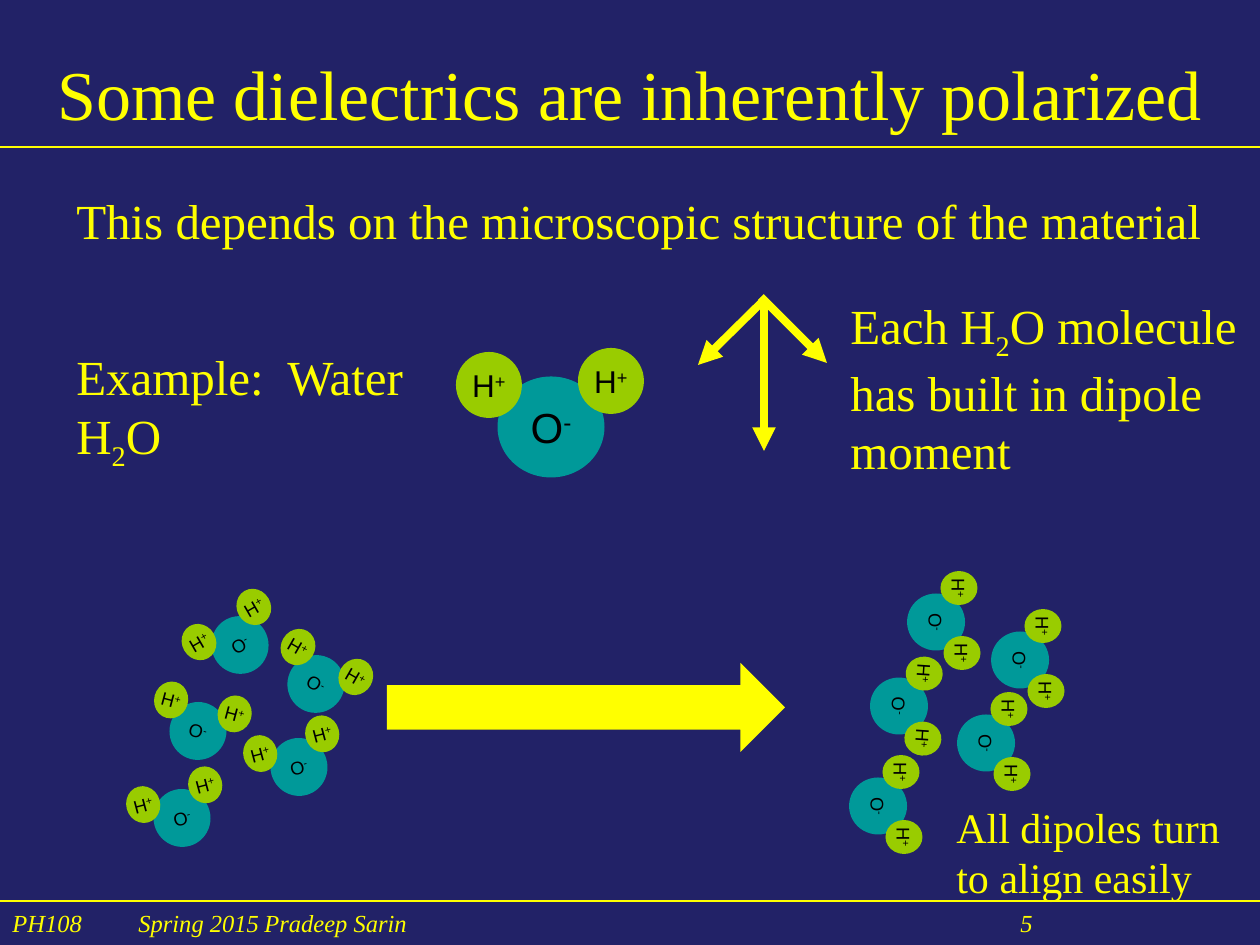
from math import cos, radians, sin

from lxml.etree import SubElement
from pptx import Presentation
from pptx.dml.color import RGBColor
from pptx.enum.shapes import MSO_CONNECTOR, MSO_SHAPE
from pptx.enum.text import MSO_ANCHOR, MSO_AUTO_SIZE, PP_ALIGN
from pptx.oxml.ns import qn
from pptx.util import Pt

NAVY = RGBColor(0x22, 0x22, 0x67)
YELLOW = RGBColor(0xFF, 0xFF, 0x00)
TEAL = RGBColor(0x00, 0x99, 0x99)
LIME = RGBColor(0x99, 0xCC, 0x00)
BLACK = RGBColor(0, 0, 0)
SERIF, SANS = "Times New Roman", "Arial"
SUB, SUPER = -25, 30

# Content: a paragraph is a list of runs, a run is (text, baseline shift)
TITLE = [[("Some dielectrics are inherently polarized", 0)]]
FOOTER = [[("PH108\tSpring 2015\tPradeep Sarin\t5", 0)]]
TABS = (126, 252, 1008)
NOTES = [  # left, top, width, height, size, paragraphs
    (64, 184, 1162, 72, 28,
     [[("This depends on the microscopic structure of the material", 0)]]),
    (64, 340, 381, 131, 28,
     [[("Example:  Water", 0)], [("H", 0), ("2", SUB), ("O", 0)]]),
    (838, 289, 418, 190, 28,
     [[("Each H", 0), ("2", SUB), ("O molecule", 0)],
      [("has built in dipole\nmoment", 0)]]),
    (944, 795, 291, 115, 24, [[("All dipoles turn\nto align easily", 0)]]),
]
RULES = [(0, 147, 1260, 147), (0, 901, 1260, 901)]
DIPOLES = [(761, 297, 827, 363), (764, 300, 698, 365), (764, 300, 764, 451)]

# Upright molecule: atom sizes, text sizes, hydrogen offsets from the oxygen
LARGE = dict(o=(107, 101), h=(66, 66), pts=(24, 18),
             bonds=[(60, -46), (-62, -42)])
SMALL = dict(o=(57, 58), h=(34, 37), pts=(10.5, 10.5),
             bonds=[(31, -26), (-34, -23)])
MIXED = [(240, 645, -30), (316, 684, 30), (198, 731, 15),
         (299, 767, -15), (182, 818, -15)]
ALIGNED = [(936, 622, 90), (1020, 660, 90), (899, 706, 93.8),
           (986, 743, 90), (878, 806, 90)]

SCALE = 914400 / 126


def px(*nums):
    return [round(n * SCALE) for n in nums]


def write(frame, paras, size, font, color, align=PP_ALIGN.LEFT):
    for i, runs in enumerate(paras):
        para = frame.paragraphs[0] if i == 0 else frame.add_paragraph()
        para.alignment = align
        for text, shift in runs:
            for j, line in enumerate(text.split("\n")):
                if j:
                    para.add_line_break()
                run = para.add_run()
                run.text = line
                run.font.size = Pt(size)
                run.font.name = font
                run.font.color.rgb = color
                if shift:
                    run.font._element.set("baseline", str(shift * 1000))


def add_text(box, size, paras, wrap=False, align=PP_ALIGN.LEFT):
    frame = slide.shapes.add_textbox(*px(*box)).text_frame
    frame.word_wrap = wrap
    write(frame, paras, size, SERIF, YELLOW, align)
    return frame


def add_line(ends, width, arrow=False):
    line = slide.shapes.add_connector(MSO_CONNECTOR.STRAIGHT, *px(*ends))
    line.line.color.rgb = YELLOW
    line.line.width = Pt(width)
    if arrow:
        SubElement(line.line._get_or_add_ln(), qn("a:tailEnd"), type="triangle")
    SubElement(line._element.spPr, qn("a:effectLst"))


def add_solid(shapes, kind, box, fill):
    shape = shapes.add_shape(kind, *px(*box))
    shape.shadow.inherit = False
    shape.fill.solid()
    shape.fill.fore_color.rgb = fill
    shape.line.fill.background()
    return shape


def add_atom(shapes, x, y, dims, turn, fill, runs, size):
    w, h = dims
    atom = add_solid(shapes, MSO_SHAPE.OVAL, (x - w / 2, y - h / 2, w, h), fill)
    atom.rotation = turn
    frame = atom.text_frame
    frame.word_wrap = False
    frame.vertical_anchor = MSO_ANCHOR.MIDDLE
    write(frame, [runs], size, SANS, BLACK, PP_ALIGN.CENTER)


def add_water(x, y, turn, kind):
    shapes = slide.shapes.add_group_shape().shapes
    big, little = kind["pts"]
    c, s = cos(radians(turn)), sin(radians(turn))
    add_atom(shapes, x, y, kind["o"], turn, TEAL,
             [("O", 0), ("-", SUPER)], big)
    for dx, dy in kind["bonds"]:
        add_atom(shapes, x + dx * c - dy * s, y + dx * s + dy * c, kind["h"],
                 turn, LIME, [("H", 0), ("+", SUPER)], little)


deck = Presentation()
deck.slide_width, deck.slide_height = px(1260, 945)
slide = deck.slides.add_slide(deck.slide_layouts[6])
slide.background.fill.solid()
slide.background.fill.fore_color.rgb = NAVY

# Footer with tab stops
foot = add_text((0, 902, 1260, 42), 14, FOOTER, wrap=True).paragraphs[0]
stops = SubElement(foot._p.get_or_add_pPr(), qn("a:tabLst"))
for stop in px(*TABS):
    SubElement(stops, qn("a:tab"), pos=str(stop), algn="l")
foot.runs[0].font.italic = True

# Title and rules
head = add_text((0, 38, 1260, 110), 40, TITLE, True, PP_ALIGN.CENTER)
head.vertical_anchor = MSO_ANCHOR.MIDDLE
for ends in RULES:
    add_line(ends, 0.75)

# Text notes
for *box, size, paras in NOTES:
    add_text(box, size, paras).auto_size = MSO_AUTO_SIZE.SHAPE_TO_FIT_TEXT

# Example molecule and its dipole moments
add_water(551, 427, 0, LARGE)
for ends in DIPOLES:
    add_line(ends, 4.5, arrow=True)

# Mixed molecules turn into aligned ones
for x, y, turn in ALIGNED + MIXED:
    add_water(x, y, turn, SMALL)
add_solid(slide.shapes, MSO_SHAPE.RIGHT_ARROW, (387, 663, 398, 89), YELLOW)

deck.save("out.pptx")
